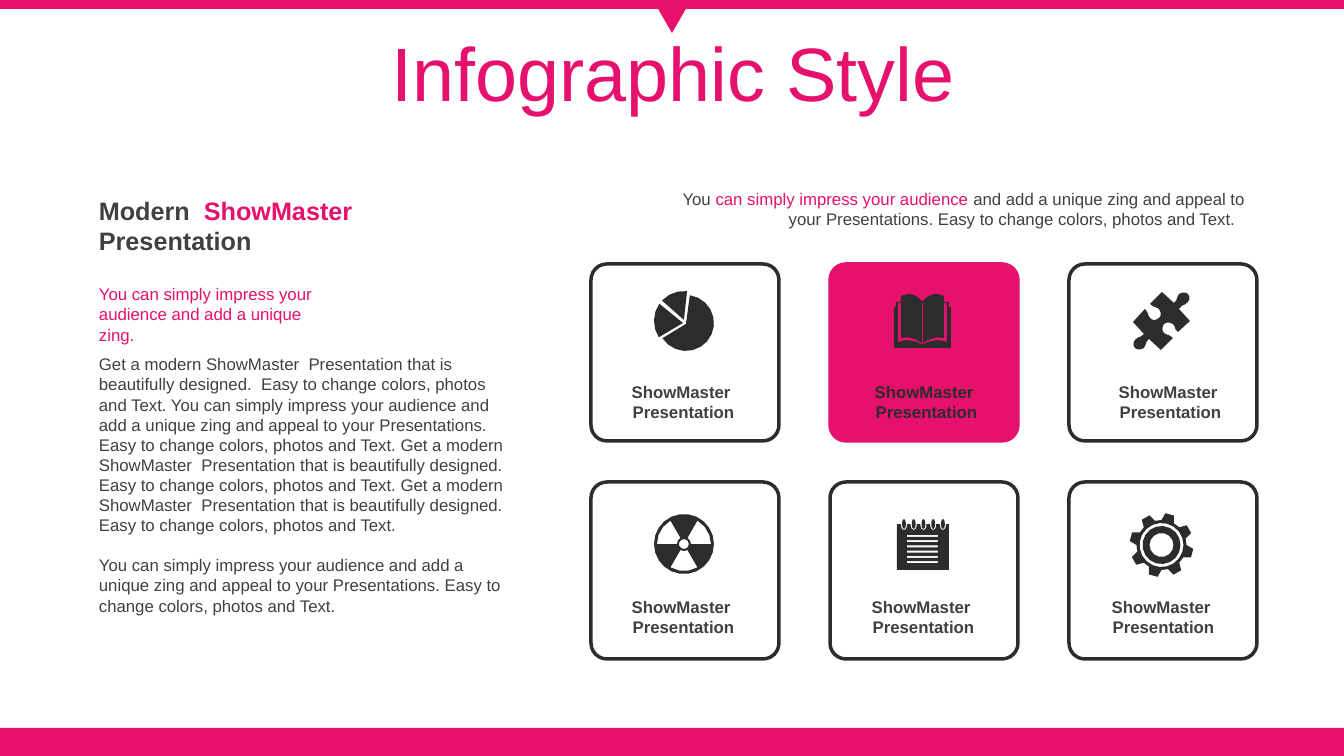
import math
import pptx
import pptx.util
from pptx.dml.color import RGBColor
from pptx.enum.shapes import MSO_SHAPE
from pptx.enum.text import MSO_ANCHOR, PP_ALIGN

WIDTH, HEIGHT = 1344, 756
SCALE = 12192000 / WIDTH


class Theme:
    font = "Arial"
    pink, dark, grey = (RGBColor.from_string(c) for c in ("E6106D", "2C2C2C", "404040"))
    title, heading, body = 54, 18, 12
    outline = 2.5


INTRO = "You can simply impress your audience and add a unique zing"
LABEL = "ShowMaster  Presentation"
DESIGNED = "Get a modern ShowMaster  Presentation that is beautifully designed.  "
EASY = "Easy to change colors, photos and Text."
APPEAL = f"{INTRO} and appeal to your Presentations. {EASY}"

TEXTS = [
    dict(box=(35, 37, 1276, 80), size=Theme.title, align=PP_ALIGN.CENTER,
         anchor=MSO_ANCHOR.MIDDLE, leading=0.9, before=10,
         paragraphs=[[("Infographic Style", Theme.pink)]]),
    dict(box=(89, 190, 309, 72), size=Theme.heading, bold=True,
         paragraphs=[[("Modern  ", Theme.grey), ("ShowMaster  ", Theme.pink),
                      ("Presentation", Theme.grey)]]),
    dict(box=(89, 349, 439, 275), gap=14,
         paragraphs=[[(f"{DESIGNED}{EASY} {APPEAL} {DESIGNED}{EASY} {DESIGNED}{EASY}",
                       Theme.grey)],
                     [(APPEAL, Theme.grey)]]),
    dict(box=(89, 279, 258, 50), paragraphs=[[(INTRO + ".", Theme.pink)]]),
    dict(box=(641, 184, 614, 50), align=PP_ALIGN.RIGHT,
         paragraphs=[[("You ", Theme.grey), ("can simply impress your audience ", Theme.pink),
                      (f"and add a unique zing and appeal to your Presentations. {EASY}  ",
                       Theme.grey)]]),
]

BANDS = [
    (MSO_SHAPE.RECTANGLE, (0, 728, WIDTH, 28), 0),
    (MSO_SHAPE.RECTANGLE, (0, 0, WIDTH, 9), 0),
    (MSO_SHAPE.ISOSCELES_TRIANGLE, (653, 0, 38, 33), 180),
]

CARD_LEFT, CARD_TOP, CARD_W, CARD_H = 591, 264, 188, 177
COLUMN_STEP, ROW_STEP = 239, 218
LABEL_W, LABEL_H = 171, 50
LABEL_SHIFTS = [(7, 11, 16), (7, 8, 9)]
LABEL_DROPS = (113, 110)
HIGHLIGHT = (0, 1)

PUZZLE = [
    (1188, 294), (1190, 296, 1190, 300, 1188, 302), (1185, 306, 1182, 304, 1179, 309),
    (1190, 321), (1178, 332), (1174, 330, 1176, 326, 1173, 324),
    (1170, 322, 1166, 322, 1164, 324), (1163, 326, 1161, 330, 1164, 333),
    (1168, 336, 1169, 334, 1173, 338), (1161, 350), (1149, 339),
    (1145, 342, 1147, 344, 1144, 348), (1141, 350, 1137, 350, 1135, 348),
    (1133, 346, 1133, 342, 1135, 340), (1138, 336, 1141, 338, 1144, 334),
    (1133, 322), (1145, 309), (1149, 312, 1147, 316, 1151, 319),
    (1153, 321, 1157, 320, 1159, 318), (1161, 317, 1162, 312, 1159, 309),
    (1155, 306, 1154, 308, 1150, 304), (1162, 292), (1174, 303),
    (1178, 300, 1176, 298, 1179, 294), (1182, 292, 1186, 292, 1188, 294),
]
BOOK_COVER = [(922, 348), (894, 348), (894, 307), (896, 307), (896, 302), (901, 302),
              (901, 296), (904, 295, 907, 294, 909, 294), (914, 294, 919, 297, 922, 301)]
BOOK_GAP = [(922, 303), (922, 343), (915, 338, 907, 336, 901, 338), (901, 303),
            (898, 303), (898, 342), (908, 338, 913, 341, 922, 344)]
BOOK_MIRROR = 1845


def emu(px):
    return pptx.util.Emu(round(px * SCALE))


def polar(cx, cy, rx, angle, ry=None):
    a = math.radians(angle)
    return cx + rx * math.cos(a), cy + (ry or rx) * math.sin(a)


def arc(cx, cy, rx, start=0, end=360, ry=None):
    steps = max(2, round(abs(end - start) * math.sqrt(max(rx, ry or 0)) / 90))
    return [polar(cx, cy, rx, start + (end - start) * i / steps, ry) for i in range(steps + 1)]


def flatten(path):
    points = []
    for step in path:
        if len(step) == 2:
            points.append(step)
            continue
        curve = [points[-1], step[:2], step[2:4], step[4:]]
        for i in range(1, 4):
            t = i / 3
            weights = [(1 - t) ** 3, 3 * t * (1 - t) ** 2, 3 * t * t * (1 - t), t ** 3]
            points.append(tuple(sum(w * p[k] for w, p in zip(weights, curve)) for k in (0, 1)))
    return points


def pie():
    return [[(683, 323)] + arc(684, 321, 30, 147, 215),
            [(684, 320)] + arc(684, 321, 30, 223, 276),
            [(686, 324)] + arc(686, 323, 28, 278, 507)]


def book():
    halves = [flatten(path) for path in (BOOK_COVER, BOOK_GAP)]
    return [half + [(BOOK_MIRROR - x, y) for x, y in reversed(half)] for half in halves]


def puzzle():
    return [flatten(PUZZLE)]


def radiation():
    cx, cy = 684, 544
    blades = [arc(cx, cy, 27, a, a + 60) + arc(cx, cy, 7, a + 60, a) for a in (60, 180, 300)]
    return [arc(cx, cy, 30), arc(cx, cy, 5)] + blades


def notepad():
    left, right, top, bottom = 897, 949, 524, 570
    rings = [904 + 9.75 * i for i in range(5)]
    page = [(left, top)]
    for x in rings:
        page += [(x - 3, top)] + arc(x, top + 2, 3, 180, 0, 4) + [(x + 3, top)]
    page += [(right, top), (right, bottom), (left, bottom)]
    lines = [[(907, y), (938, y), (938, y + 2), (907, y + 2)]
             for y in (535 + 5.25 * i for i in range(6))]
    return [page] + lines + [arc(x, top, 2, ry=5) for x in rings]


def gear():
    cx, cy = 1161.5, 545
    rim = [polar(cx, cy, radius, 285 + 45 * tooth + turn)
           for tooth in range(8)
           for radius, turn in ((25, -15), (32, -8), (32, 8), (25, 15))]
    return [rim] + [arc(cx, cy, r) for r in (22, 19, 12)]


ICONS = [(pie, book, puzzle), (radiation, notepad, gear)]


def paint(sp, fill, line=None):
    sp.shadow.inherit = False
    if fill is None:
        sp.fill.background()
    else:
        sp.fill.solid()
        sp.fill.fore_color.rgb = fill
    if line is None:
        sp.line.fill.background()
    else:
        sp.line.color.rgb = line
        sp.line.width = pptx.util.Pt(Theme.outline)


def add_shape(s, kind, box, fill=None, line=None):
    sp = s.shapes.add_shape(kind, *map(emu, box))
    paint(sp, fill, line)
    return sp


def add_icon(s, contours):
    contours = [[(emu(x), emu(y)) for x, y in contour] for contour in contours]
    builder = s.shapes.build_freeform(*contours[0][0])
    for i, contour in enumerate(contours):
        if i:
            builder.move_to(*contour[0])
        builder.add_line_segments(contour[1:], close=True)
    paint(builder.convert_to_shape(), Theme.dark)


def add_text(s, box, paragraphs, size=Theme.body, bold=False, align=PP_ALIGN.LEFT,
             anchor=MSO_ANCHOR.TOP, leading=None, before=0, gap=0):
    tf = s.shapes.add_textbox(*map(emu, box)).text_frame
    tf.word_wrap = True
    tf.vertical_anchor = anchor
    for i, runs in enumerate(paragraphs):
        p = tf.add_paragraph() if i else tf.paragraphs[0]
        p.alignment = align
        p.line_spacing = leading
        p.space_before = pptx.util.Pt(gap if i else before)
        p.font.name, p.font.size, p.font.bold = Theme.font, pptx.util.Pt(size), bold
        if len(runs) == 1:
            p.font.color.rgb = runs[0][1]
        for text, color in runs:
            r = p.add_run()
            r.text = text
            if len(runs) > 1:
                r.font.color.rgb = color


def main():
    prs = pptx.Presentation()
    prs.slide_width, prs.slide_height = emu(WIDTH), emu(HEIGHT)
    s = prs.slides.add_slide(prs.slide_layouts[6])
    for kind, box, rotation in BANDS:
        add_shape(s, kind, box, Theme.pink).rotation = rotation
    for text in TEXTS:
        add_text(s, **text)
    for row, icons in enumerate(ICONS):
        for column, icon in enumerate(icons):
            x, y = CARD_LEFT + column * COLUMN_STEP, CARD_TOP + row * ROW_STEP
            lit = (row, column) == HIGHLIGHT
            card = add_shape(s, MSO_SHAPE.ROUNDED_RECTANGLE, (x, y, CARD_W, CARD_H),
                             Theme.pink if lit else None, Theme.pink if lit else Theme.dark)
            card.adjustments[0] = 0.09
            add_icon(s, icon())
            label = (x + LABEL_SHIFTS[row][column], y + LABEL_DROPS[row], LABEL_W, LABEL_H)
            add_text(s, label, [[(LABEL, Theme.dark if lit else Theme.grey)]],
                     bold=True, align=PP_ALIGN.CENTER)
    prs.save("out.pptx")


if __name__ == "__main__":
    main()
